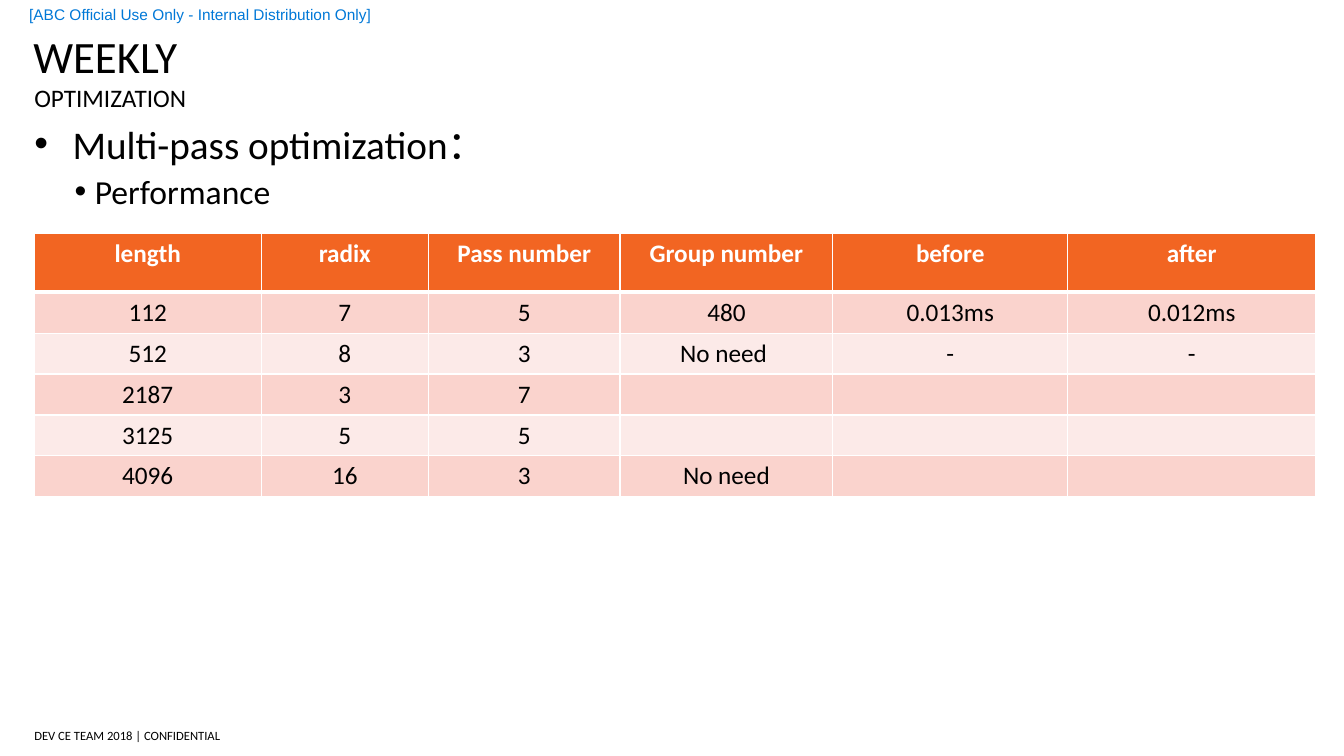
from lxml import etree
from pptx import Presentation
from pptx import util as u
from pptx.dml.color import RGBColor
from pptx.enum import text
from pptx.oxml.ns import qn

PX = 9144
BLACK, WHITE, BLUE = "000000", "FFFFFF", "0078D7"
ORANGE, PINK, PALE = "F26522", "FAD3CD", "FCEAE8"

COLUMN_WIDTHS = [225, 166, 190, 211, 233, 246]
HEADER_HEIGHT, ROW_HEIGHT = 58, 37
ROWS = [
    ["length", "radix", "Pass number", "Group number", "before", "after"],
    ["112", "7", "5", "480", "0.013ms", "0.012ms"],
    ["512", "8", "3", "No need ", "-", "-"],
    ["2187", "3", "7", "", "", ""],
    ["3125", "5", "5", "", "", ""],
    ["4096", "16", "3", "No need", "", ""],
]


def px(value):
    return u.Emu(value * PX)


def color(value):
    return RGBColor.from_string(value)


def set_values(target, values):
    for name, value in values.items():
        setattr(target, name, value)


def set_frame(frame, anchor, insets):
    left, top, right, bottom = map(px, insets)
    set_values(frame, {
        "word_wrap": True, "auto_size": text.MSO_AUTO_SIZE.NONE,
        "vertical_anchor": anchor, "margin_left": left, "margin_top": top,
        "margin_right": right, "margin_bottom": bottom,
    })


def write(paragraph, words, size, fill=BLACK, font="Calibri", bold=False,
          align=text.PP_ALIGN.LEFT):
    paragraph.alignment = align
    run = paragraph.add_run()
    run.text = words
    set_values(run.font, {"size": u.Pt(size), "name": font, "bold": bold})
    run.font.color.rgb = color(fill)


def add_bullet(paragraph, margin, hanging):
    properties = paragraph._p.get_or_add_pPr()
    properties.set("marL", str(px(margin)))
    properties.set("indent", str(px(-hanging)))
    etree.SubElement(properties, qn("a:buFont")).set("typeface", "Arial")
    etree.SubElement(properties, qn("a:buChar")).set("char", "•")


def add_title(slide, box, words):
    title = slide.shapes.title
    set_values(title, dict(zip(("left", "top", "width", "height"), map(px, box))))
    set_frame(title.text_frame, text.MSO_ANCHOR.BOTTOM, (0, 5, 0, 0))
    write(title.text_frame.paragraphs[0], words, 32)


def add_label(slide, box, words, size, anchor, insets=(0, 0, 0, 0), **style):
    frame = slide.shapes.add_textbox(*map(px, box)).text_frame
    set_frame(frame, anchor, insets)
    write(frame.paragraphs[0], words, size, **style)


def add_bullets(slide, box):
    frame = slide.shapes.add_textbox(*map(px, box)).text_frame
    set_frame(frame, text.MSO_ANCHOR.TOP, (0, 5, 0, 5))
    items = [("Multi-pass optimization：", 28, 38, 38, 8),
             ("Performance", 24, 60, 20, 3)]
    for level, (words, size, margin, hanging, space) in enumerate(items):
        paragraph = frame.add_paragraph() if level else frame.paragraphs[0]
        set_values(paragraph, {"level": level, "space_before": u.Pt(space)})
        add_bullet(paragraph, margin, hanging)
        write(paragraph, words, size)


def add_borders(cell, widths):
    properties = cell._tc.get_or_add_tcPr()
    for side, width in widths.items():
        line = etree.SubElement(properties, qn(f"a:ln{side}"), w=str(u.Pt(width)))
        fill = etree.SubElement(line, qn("a:solidFill"))
        etree.SubElement(fill, qn("a:srgbClr"), val=WHITE)


def add_results_table(slide, box):
    left, top = box
    height = HEADER_HEIGHT + ROW_HEIGHT * (len(ROWS) - 1)
    table = slide.shapes.add_table(
        len(ROWS), len(COLUMN_WIDTHS), px(left), px(top),
        px(sum(COLUMN_WIDTHS)), px(height)).table
    for column, width in zip(table.columns, COLUMN_WIDTHS):
        column.width = px(width)
    for index, values in enumerate(ROWS):
        header = index == 0
        table.rows[index].height = px(HEADER_HEIGHT if header else ROW_HEIGHT)
        background = ORANGE if header else PINK if index % 2 else PALE
        for cell, words in zip(table.rows[index].cells, values):
            add_borders(cell, {"L": 1, "R": 1, "T": 3 if index == 1 else 1,
                               "B": 3 if header else 1})
            cell.fill.solid()
            cell.fill.fore_color.rgb = color(background)
            cell.vertical_anchor = (text.MSO_ANCHOR.TOP if header
                                    else text.MSO_ANCHOR.MIDDLE)
            if words:
                write(cell.text_frame.paragraphs[0], words, 18,
                      WHITE if header else BLACK, bold=header,
                      align=text.PP_ALIGN.CENTER)


def main():
    presentation = Presentation()
    set_values(presentation, {"slide_width": px(1333), "slide_height": px(750)})
    slide = presentation.slides.add_slide(presentation.slide_layouts[5])
    middle = text.MSO_ANCHOR.MIDDLE
    add_label(slide, (34, 718, 300, 24), "DEV CE TEAM 2018 | CONFIDENTIAL",
              9, middle, (0, 4, 0, 4))
    add_label(slide, (0, 0, 400, 29),
              "[ABC Official Use Only - Internal Distribution Only]",
              11, middle, (29, 0, 0, 0), fill=BLUE, font="Arial")
    add_bullets(slide, (34, 114, 1240, 577))
    add_title(slide, (33, 30, 1270, 52), "WEEKLY")
    add_label(slide, (34, 82, 1270, 31), "OPTIMIZATION", 18, text.MSO_ANCHOR.TOP)
    add_results_table(slide, (34, 232))
    presentation.save("out.pptx")


if __name__ == "__main__":
    main()
